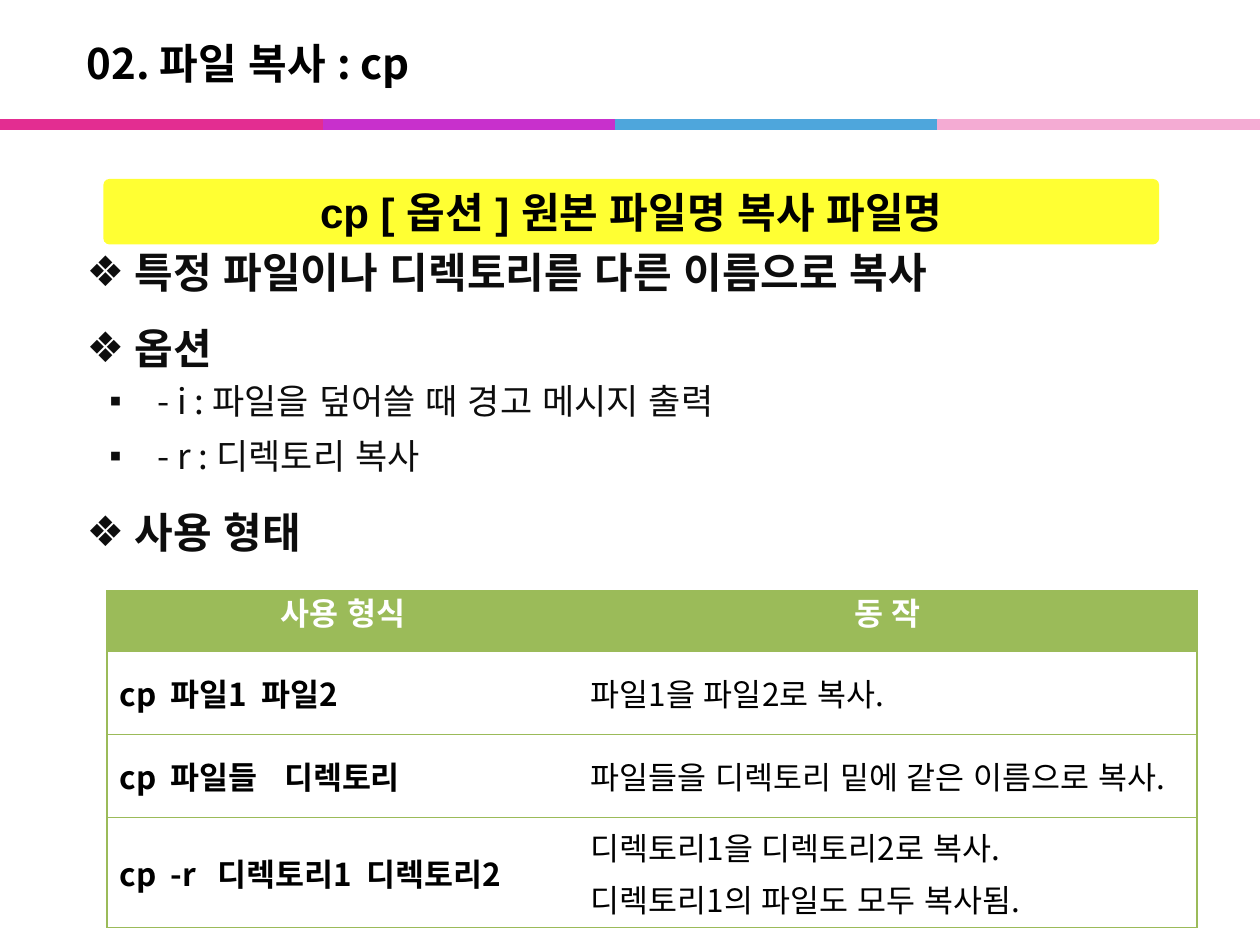
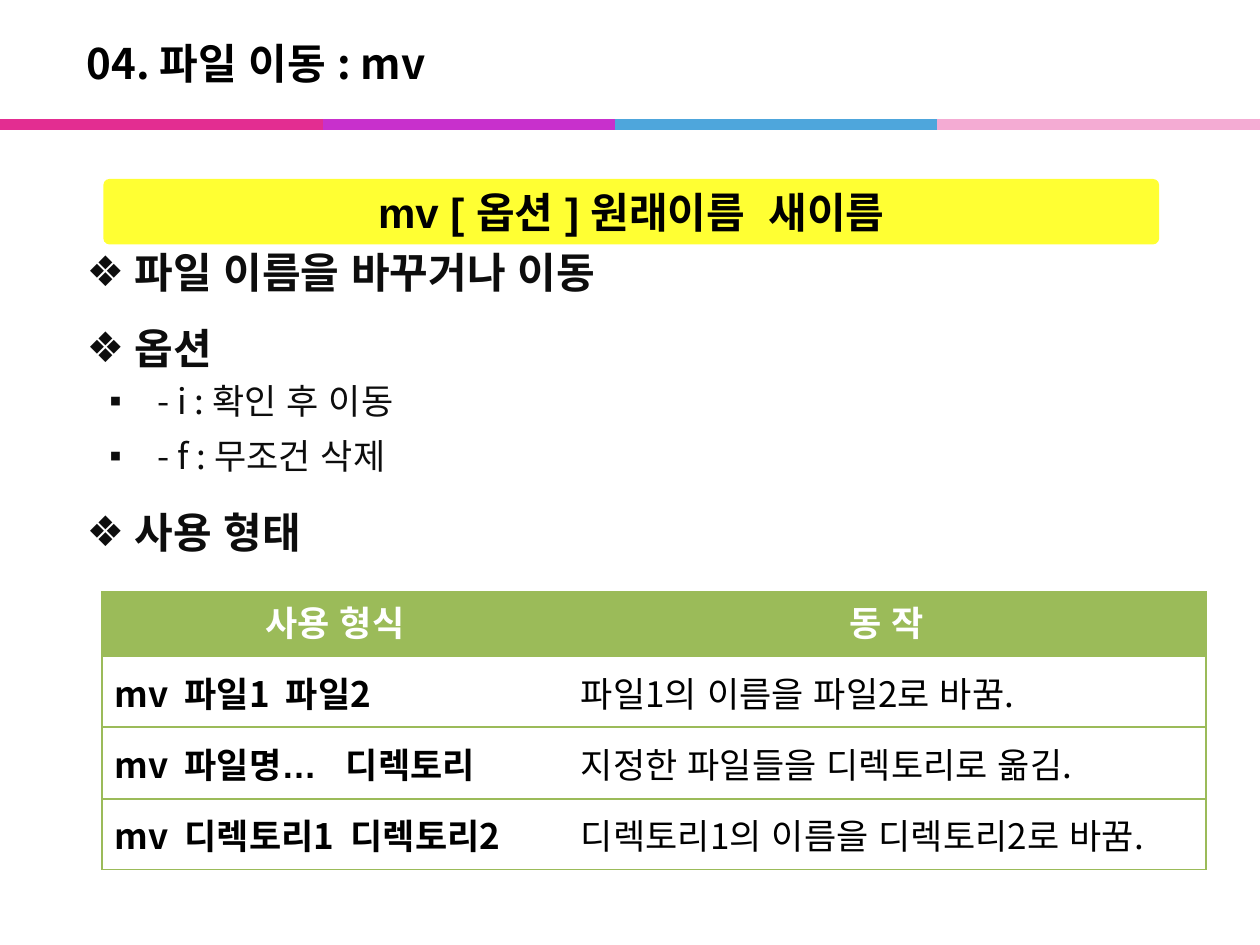
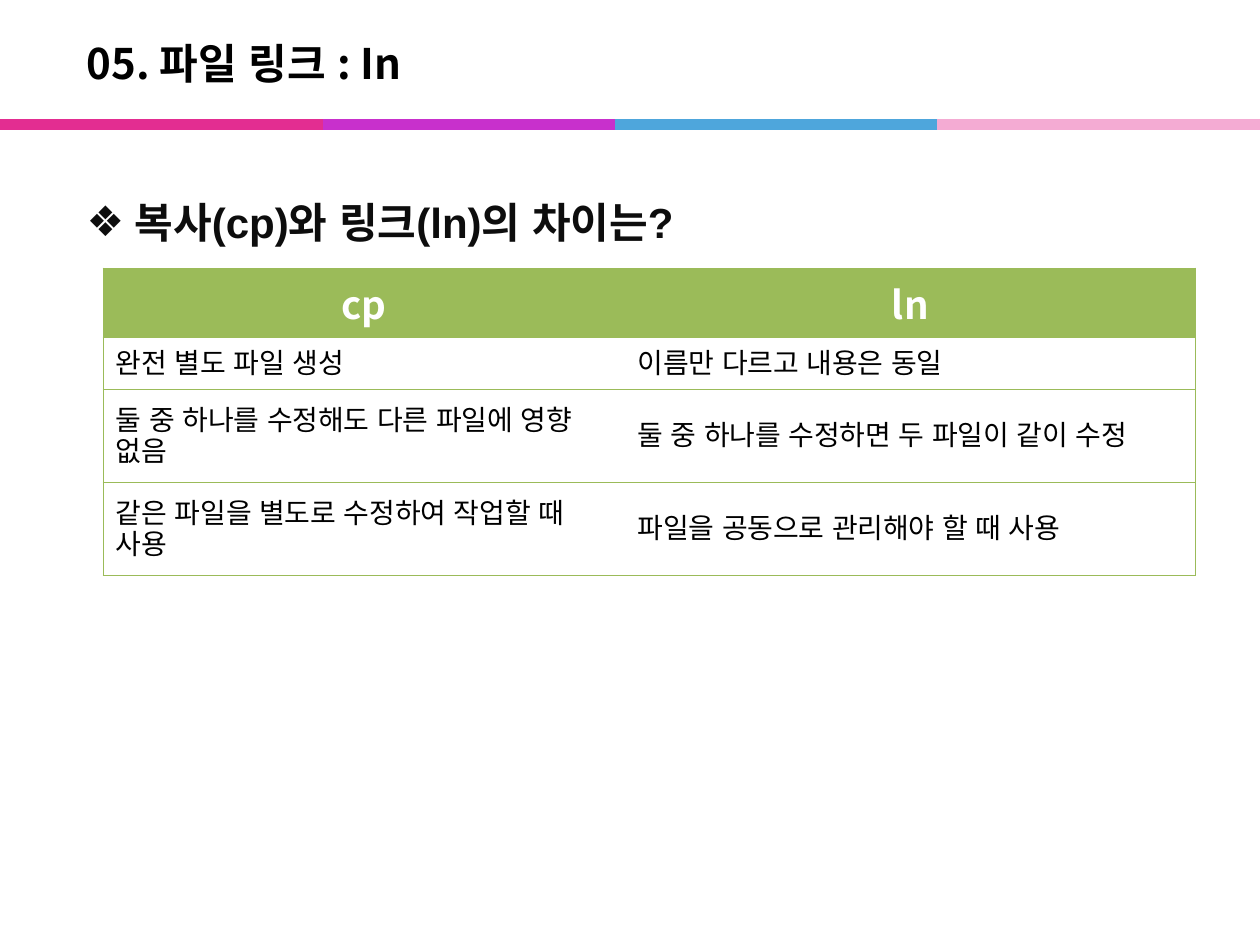
from lxml.etree import SubElement
from pptx import Presentation
from pptx.dml.color import RGBColor
from pptx.enum.shapes import MSO_CONNECTOR as Connector, MSO_SHAPE as Shape
from pptx.enum.text import MSO_ANCHOR as Anchor, PP_ALIGN as Align
from pptx.oxml.ns import qn
from pptx.util import Inches, Pt

# Shared style
SANS, ARIAL = "Noto Sans CJK KR", "Arial"
BLACK, INK, WHITE = "000000", "0D0D0D", "FFFFFF"
GREEN, YELLOW = "9BBB59", "FFFF00"
BAND = [(2.32, "C830CC"), (4.88, "4EA6DC"), (7.44, "F4ABD3"), (0, "E32D91")]
BAND_TOP, BAND_LENGTH = 0.99, 2.56
PLAIN_TABLE = "{2D5ABB26-0587-4C30-8999-92F81FD0307C}"


def color(hex_string):
    return RGBColor.from_string(hex_string)


class Deck:
    def __init__(self):
        self.presentation = Presentation()
        self.presentation.slide_width = Inches(10)
        self.presentation.slide_height = Inches(7.5)
        self.slide = None

    def add_slide(self, title):
        self.slide = self.presentation.slides.add_slide(self.presentation.slide_layouts[6])
        for left, tint in BAND:
            self.band_part(left, tint)
        frame = self.text_box(0.59, 0.2, 8.27, 0.6)
        frame.vertical_anchor = Anchor.MIDDLE
        self.run(frame.paragraphs[0], title, 24, SANS, BLACK, True)

    def band_part(self, left, tint):
        line = self.slide.shapes.add_connector(
            Connector.STRAIGHT, Inches(left), Inches(BAND_TOP),
            Inches(left + BAND_LENGTH), Inches(BAND_TOP))
        line.line.color.rgb = color(tint)
        line.line.width = Pt(6)
        SubElement(line._element.spPr, qn("a:effectLst"))

    def text_box(self, left, top, width, height):
        shape = self.slide.shapes.add_textbox(
            Inches(left), Inches(top), Inches(width), Inches(height))
        shape.text_frame.word_wrap = True
        return shape.text_frame

    def run(self, paragraph, text, size, font, tint, bold=False):
        run = paragraph.add_run()
        run.text = text
        run.font.size, run.font.name, run.font.bold = Pt(size), font, bold
        run.font.color.rgb = color(tint)
        SubElement(run._r.get_or_add_rPr(), qn("a:ea"), typeface=ARIAL)

    def bullet(self, paragraph, mark, indent):
        properties = paragraph._p.get_or_add_pPr()
        properties.set("marL", str(Inches(indent)))
        properties.set("indent", str(Inches(-0.38)))
        SubElement(properties, qn("a:buFont"), typeface=ARIAL)
        SubElement(properties, qn("a:buChar"), char=mark)

    def outline(self, items, top_inset=0.05):
        """Each item is (level, text)."""
        frame = self.text_box(0.59, 1.31, 9.06, 5.91)
        frame.margin_top = Inches(top_inset)
        for index, (level, text) in enumerate(items):
            paragraph = frame.add_paragraph() if index else frame.paragraphs[0]
            if level == 1:
                paragraph.line_spacing = 1.5
                self.bullet(paragraph, "❖", 0.38)
                self.run(paragraph, text, 24, ARIAL, INK, True)
            else:
                paragraph.level = 1
                paragraph.space_before, paragraph.space_after = Pt(4), Pt(3)
                self.bullet(paragraph, "▪", 0.56)
                self.run(paragraph, text, 20, SANS, INK)

    def syntax_box(self, text):
        box = self.slide.shapes.add_shape(
            Shape.ROUNDED_RECTANGLE, Inches(0.82), Inches(1.42), Inches(8.38), Inches(0.52))
        box.adjustments[0] = 0.094
        box.shadow.inherit = False
        box.line.fill.background()
        box.fill.solid()
        box.fill.fore_color.rgb = color(YELLOW)
        tint = box._element.spPr.find(qn("a:solidFill"))[0]
        SubElement(tint, qn("a:alpha"), val="80000")
        frame = box.text_frame
        frame.word_wrap = False
        frame.vertical_anchor = Anchor.MIDDLE
        frame.paragraphs[0].alignment = Align.CENTER
        self.run(frame.paragraphs[0], text, 24, ARIAL, BLACK, True)

    def cell_border(self, cell, sides):
        properties = cell._tc.get_or_add_tcPr()
        for position, side in enumerate(sides):
            line = properties.makeelement(qn("a:" + side), {"w": str(Pt(1))})
            fill = SubElement(line, qn("a:solidFill"))
            SubElement(fill, qn("a:srgbClr"), val=GREEN)
            properties.insert(position, line)

    def table(self, left, top, widths, heights, rows, head_size, size,
              bold_first=True, head_anchor=Anchor.MIDDLE):
        table = self.slide.shapes.add_table(
            len(rows), len(widths), Inches(left), Inches(top),
            Inches(sum(widths)), Inches(sum(heights))).table
        table._tbl.tblPr.find(qn("a:tableStyleId")).text = PLAIN_TABLE
        for column, width in zip(table.columns, widths):
            column.width = Inches(width)
        for row_index, (height, texts) in enumerate(zip(heights, rows)):
            table.rows[row_index].height = Inches(height)
            head = row_index == 0
            for column_index, text in enumerate(texts):
                first = column_index == 0
                cell = table.cell(row_index, column_index)
                cell.fill.solid()
                cell.fill.fore_color.rgb = color(GREEN if head else WHITE)
                cell.vertical_anchor = head_anchor if head else Anchor.MIDDLE
                self.cell_border(cell, ["lnL" if first else "lnR", "lnT", "lnB"])
                text_size = head_size if head else size
                for index, line in enumerate(text.split("\n")):
                    frame = cell.text_frame
                    paragraph = frame.add_paragraph() if index else frame.paragraphs[0]
                    paragraph.space_before = Pt(text_size * 0.2)
                    paragraph.alignment = Align.CENTER if head else Align.LEFT
                    self.run(paragraph, line, text_size, SANS, WHITE if head else BLACK,
                             head or (first and bold_first))

    def command_slide(self, title, syntax, purpose, options):
        self.add_slide(title)
        self.outline([(1, purpose), (1, "옵션"), *((2, option) for option in options),
                      (1, "사용 형태")], top_inset=0.45)
        self.syntax_box(syntax)


def main():
    deck = Deck()
    usage_head = ("사용 형식", "동 작")

    # Copying files
    deck.command_slide(
        "02. 파일 복사 : cp", "cp [ 옵션 ] 원본 파일명 복사 파일명",
        "특정 파일이나 디렉토리륻 다른 이름으로 복사",
        ["- i : 파일을 덮어쓸 때 경고 메시지 출력", "- r : 디렉토리 복사"])
    deck.table(0.85, 4.69, [3.74, 4.91], [0.48, 0.66, 0.66, 0.87], [
        usage_head,
        ("cp  파일1  파일2", "파일1을 파일2로 복사."),
        ("cp  파일들   디렉토리", "파일들을 디렉토리 밑에 같은 이름으로 복사."),
        ("cp  -r   디렉토리1  디렉토리2",
         "디렉토리1을 디렉토리2로 복사.\n디렉토리1의 파일도 모두 복사됨."),
    ], 18, 18, head_anchor=Anchor.TOP)

    # Moving files
    deck.command_slide(
        "04. 파일 이동 : mv", "mv [ 옵션 ] 원래이름  새이름",
        "파일 이름을 바꾸거나 이동",
        ["- i : 확인 후 이동", "- f : 무조건 삭제"])
    deck.table(0.81, 4.7, [3.7, 5.06], [0.51, 0.56, 0.57, 0.56], [
        usage_head,
        ("mv  파일1  파일2", "파일1의 이름을 파일2로 바꿈."),
        ("mv  파일명…   디렉토리", "지정한 파일들을 디렉토리로 옮김."),
        ("mv  디렉토리1  디렉토리2", "디렉토리1의 이름을 디렉토리2로 바꿈."),
    ], 20, 20)

    # Linking files
    deck.add_slide("05. 파일 링크 : In")
    deck.outline([(1, "복사(cp)와 링크(ln)의 차이는?")])
    deck.table(0.82, 2.13, [4.14, 4.53], [0.55, 0.41, 0.74, 0.74], [
        ("cp", "ln"),
        ("완전 별도 파일 생성", "이름만 다르고 내용은 동일"),
        ("둘 중 하나를 수정해도 다른 파일에 영향 없음",
         "둘 중 하나를 수정하면 두 파일이 같이 수정"),
        ("같은 파일을 별도로 수정하여 작업할 때 사용",
         "파일을 공동으로 관리해야 할 때 사용"),
    ], 22, 16, bold_first=False)

    deck.presentation.save("out.pptx")


if __name__ == "__main__":
    main()
